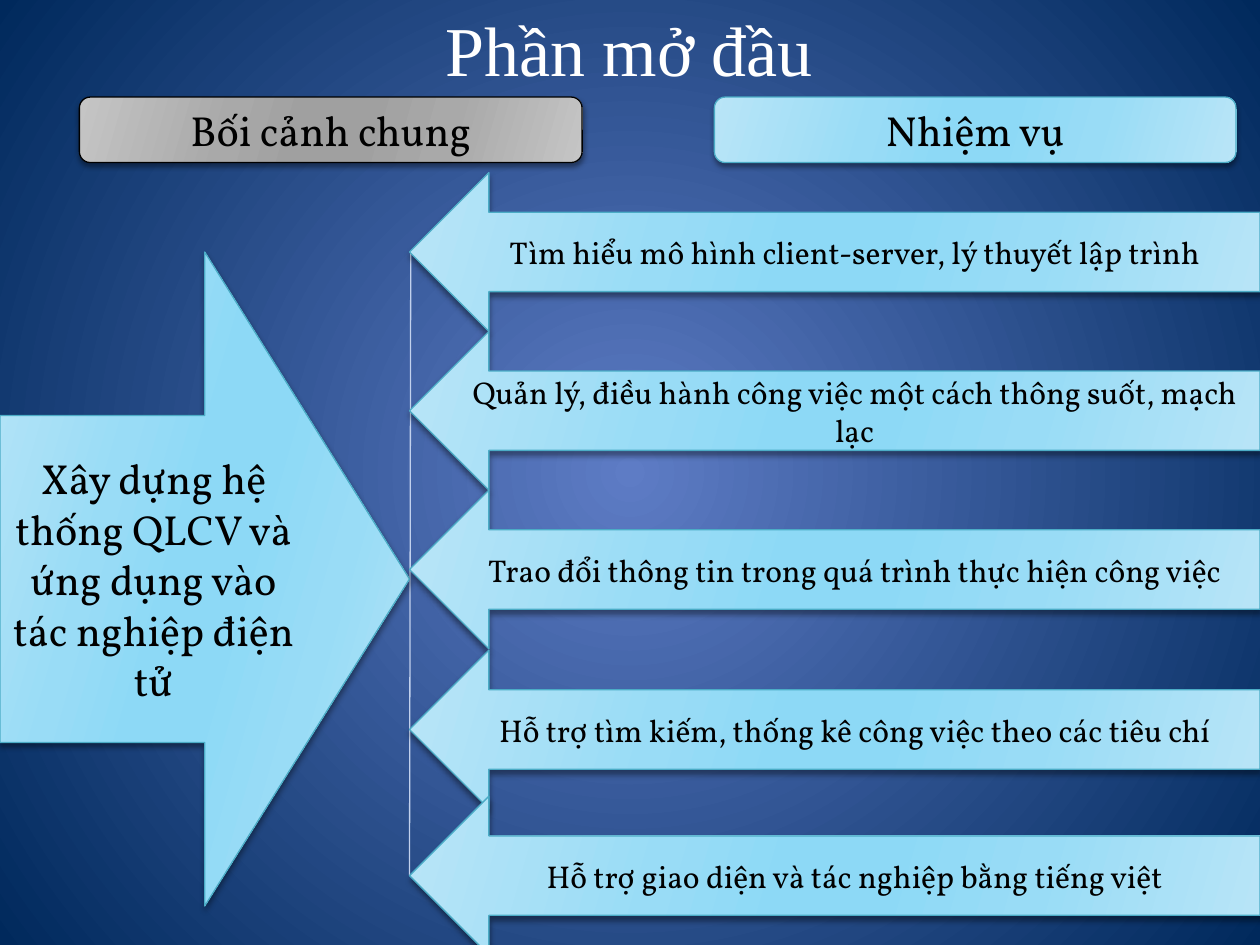
from lxml import etree
from pptx import Presentation
from pptx.dml.color import RGBColor
from pptx.enum.shapes import MSO_CONNECTOR, MSO_SHAPE
from pptx.enum.text import MSO_ANCHOR, PP_ALIGN
from pptx.oxml.ns import qn
from pptx.util import Inches, Pt

LEFT_ARROW = MSO_SHAPE.LEFT_ARROW
RIGHT_ARROW = MSO_SHAPE.RIGHT_ARROW
ROUNDED = MSO_SHAPE.ROUNDED_RECTANGLE
STRAIGHT = MSO_CONNECTOR.STRAIGHT
CENTER = PP_ALIGN.CENTER
TOP = MSO_ANCHOR.TOP
MIDDLE = MSO_ANCHOR.MIDDLE

BLACK = RGBColor(0x00, 0x00, 0x00)
WHITE = RGBColor(0xFF, 0xFF, 0xFF)
TEAL = RGBColor(0x4B, 0xAC, 0xC6)
PALE_BLUE = RGBColor(0xC2, 0xD1, 0xED)
GLOW_BLUE = RGBColor(0x5E, 0x7C, 0xC5)
NAVY = RGBColor(0x00, 0x29, 0x5C)
SKY_LIGHT = RGBColor(0xB9, 0xE5, 0xF7)
SKY_MEDIUM = RGBColor(0x99, 0xDC, 0xF6)
SKY = RGBColor(0x8D, 0xD9, 0xF6)
GRAY_LIGHT = RGBColor(0xC5, 0xC5, 0xC5)
GRAY_MEDIUM = RGBColor(0xA9, 0xA9, 0xA9)
GRAY = RGBColor(0xA0, 0xA0, 0xA0)

SHEEN_POSITIONS = (0, 30, 45, 55, 73, 100)
SKY_SHEEN = (SKY_LIGHT, SKY_MEDIUM, SKY, SKY, SKY_MEDIUM, SKY_LIGHT)
GRAY_SHEEN = (GRAY_LIGHT, GRAY_MEDIUM, GRAY, GRAY, GRAY_MEDIUM, GRAY_LIGHT)


def write_text(shape, text, *, size, font="Vollkorn", color=BLACK, anchor=MIDDLE):
    frame = shape.text_frame
    frame.word_wrap = True
    frame.vertical_anchor = anchor
    paragraph = frame.paragraphs[0]
    paragraph.alignment = CENTER
    run = paragraph.add_run()
    run.text = text
    run.font.size = Pt(size)
    run.font.name = font
    run.font.color.rgb = color


def set_gradient(owner, stops, radial=False):
    gradient = next(owner.iter(qn("a:gradFill")))
    for child in list(gradient):
        gradient.remove(child)
    stop_list = etree.SubElement(gradient, qn("a:gsLst"))
    for position, color in stops:
        stop = etree.SubElement(stop_list, qn("a:gs"), pos=str(position * 1000))
        etree.SubElement(stop, qn("a:srgbClr"), val=str(color))
    if radial:
        center = etree.SubElement(gradient, qn("a:path"), path="circle")
        etree.SubElement(center, qn("a:fillToRect"), l="50000", t="50000", r="50000", b="50000")
    else:
        etree.SubElement(gradient, qn("a:lin"), ang=str(16 * 60000), scaled="0")


prs = Presentation()
prs.slide_width = Inches(10)
prs.slide_height = Inches(7.5)
slide = prs.slides.add_slide(prs.slide_layouts[6])
slide.background.fill.gradient()
set_gradient(slide.background._cSld, [(0, GLOW_BLUE), (100, NAVY)], radial=True)

title = slide.shapes.add_textbox(Inches(2.06), Inches(0), Inches(5.87), Inches(0.77))
write_text(title, "Phần mở đầu", size=40, font="Times New Roman", color=WHITE, anchor=TOP)

spine = slide.shapes.add_connector(STRAIGHT, Inches(3.26), Inches(2), Inches(3.25), Inches(6.95))
spine.line.color.rgb = PALE_BLUE
spine.line.width = Pt(0.75)
etree.SubElement(spine._element.spPr, qn("a:effectLst"))

goal = "Xây dựng hệ thống QLCV và ứng dụng vào tác nghiệp điện tử"
blocks = [
    (RIGHT_ARROW, 0, 2, 3.25, 5.19, goal, 24, SKY_SHEEN, TEAL),
    (ROUNDED, 0.63, 0.77, 3.99, 0.52, "Bối cảnh chung", 24, GRAY_SHEEN, BLACK),
    (ROUNDED, 5.67, 0.77, 4.14, 0.52, "Nhiệm vụ", 24, SKY_SHEEN, TEAL),
]
tasks = [
    (1.37, "Tìm hiểu mô hình client-server, lý thuyết lập trình"),
    (2.63, "Quản lý, điều hành công việc một cách thông suốt, mạch lạc"),
    (3.89, "Trao đổi thông tin trong quá trình thực hiện công việc"),
    (5.16, "Hỗ trợ tìm kiếm, thống kê công việc theo các tiêu chí"),
    (6.32, "Hỗ trợ giao diện và tác nghiệp bằng tiếng việt"),
]
for top, task in tasks:
    blocks.append((LEFT_ARROW, 3.25, top, 6.75, 1.26, task, 18, SKY_SHEEN, TEAL))

for kind, left, top, width, height, text, size, sheen, outline in blocks:
    block = slide.shapes.add_shape(kind, Inches(left), Inches(top), Inches(width), Inches(height))
    block.fill.gradient()
    set_gradient(block._element.spPr, zip(SHEEN_POSITIONS, sheen))
    block.line.color.rgb = outline
    block.line.width = Pt(0.75)
    block.shadow.inherit = False
    effects = block._element.spPr.find(qn("a:effectLst"))
    shadow = etree.SubElement(
        effects, qn("a:outerShdw"), blurRad=str(Pt(3)), dist=str(Pt(2)),
        dir=str(90 * 60000), rotWithShape="0",
    )
    shade = etree.SubElement(shadow, qn("a:srgbClr"), val=str(BLACK))
    etree.SubElement(shade, qn("a:alpha"), val="40000")
    write_text(block, text, size=size)

prs.save("out.pptx")
